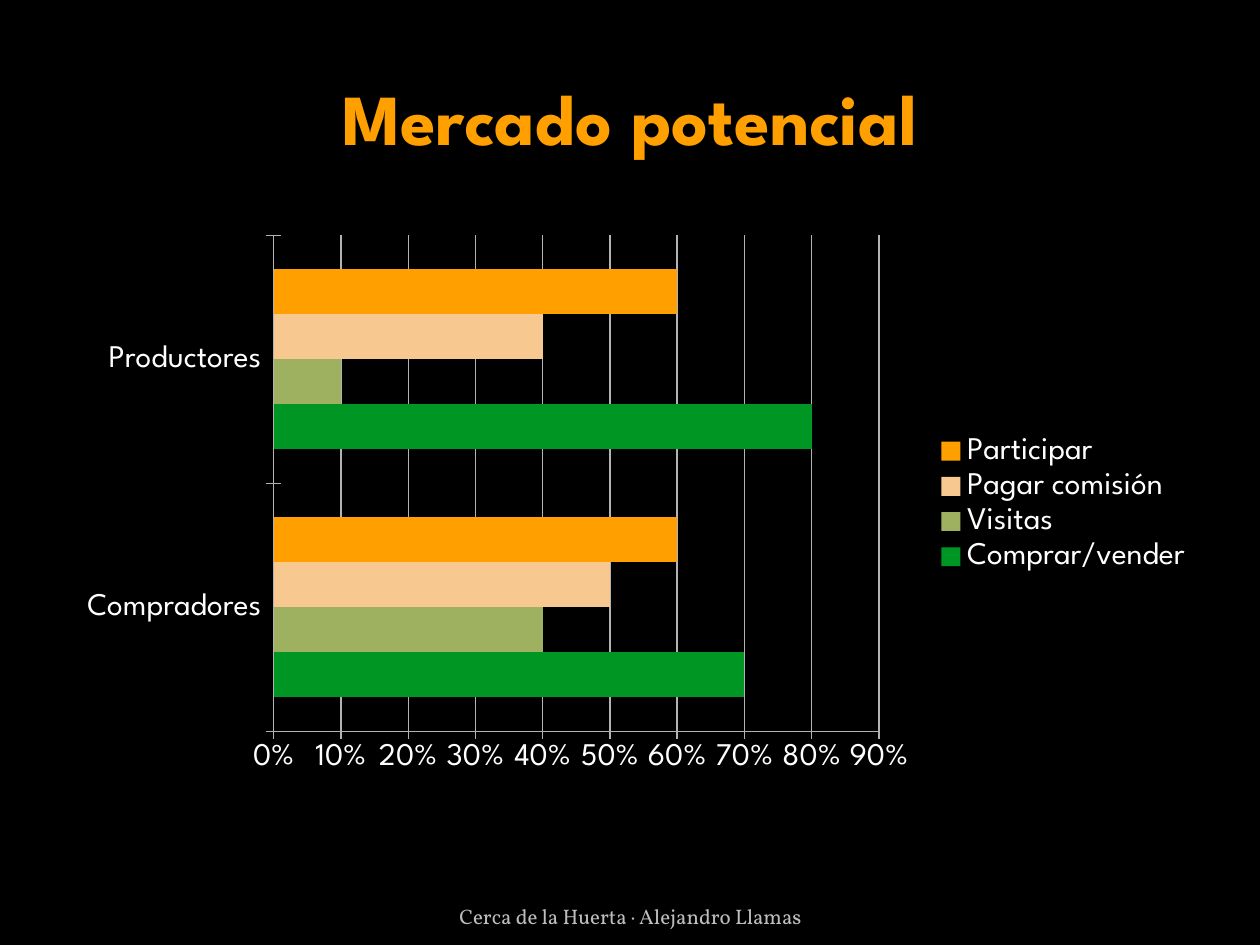
from pptx import Presentation
from pptx.chart.data import CategoryChartData
from pptx.dml.color import RGBColor
from pptx.enum.chart import XL_CHART_TYPE, XL_LEGEND_POSITION, XL_TICK_MARK
from pptx.enum.text import MSO_ANCHOR, PP_ALIGN
from pptx.util import Cm, Pt

BAR_CLUSTERED = XL_CHART_TYPE.BAR_CLUSTERED
LEGEND_RIGHT = XL_LEGEND_POSITION.RIGHT
TICK_CROSS = XL_TICK_MARK.CROSS
CENTER = PP_ALIGN.CENTER
MIDDLE, BOTTOM = MSO_ANCHOR.MIDDLE, MSO_ANCHOR.BOTTOM

COLORS = {
    "background": "000000",
    "text": "FFFFFF",
    "footer": "BDBDBD",
    "axis": "B3B3B3",
    "orange": "FFA000",
    "peach": "F8C891",
    "olive": "9EB160",
    "green": "009624",
}
HEADING_FONT = "League Spartan"
FOOTER_FONT = "Vollkorn"

CATEGORIES = ["Compradores", "Productores"]
SERIES = [
    ("Comprar/vender", (0.7, 0.8), "green"),
    ("Visitas", (0.4, 0.1), "olive"),
    ("Pagar comisión", (0.5, 0.4), "peach"),
    ("Participar", (0.6, 0.6), "orange"),
]


def color(name):
    return RGBColor.from_string(COLORS[name])


def style_font(font, name, size, color_name, bold=False):
    font.name = name
    font.size = Pt(size)
    font.bold = bold
    font.color.rgb = color(color_name)


def write_centered(shape, text, anchor):
    """Put one centred paragraph in the shape and return it."""
    frame = shape.text_frame
    frame.word_wrap = True
    frame.vertical_anchor = anchor
    para = frame.paragraphs[0]
    para.text = text
    para.alignment = CENTER
    return para


def place_title(page, left, top, width, height):
    title = page.shapes.title
    title.left, title.top, title.width, title.height = left, top, width, height
    para = write_centered(title, "Mercado potencial", MIDDLE)
    style_font(para.font, HEADING_FONT, 41, "orange", bold=True)


def place_footer(page, left, top, width, height):
    box = page.shapes.add_textbox(left, top, width, height)
    para = write_centered(box, "Cerca de la Huerta · Alejandro Llamas", BOTTOM)
    style_font(para.font, FOOTER_FONT, 12, "footer")


def style_line(line):
    line.color.rgb = color("axis")
    line.width = Pt(0.75)


def place_market_chart(page, left, top, width, height):
    data = CategoryChartData(number_format="0%")
    data.categories = CATEGORIES
    for name, values, _ in SERIES:
        data.add_series(name, values)
    chart = page.shapes.add_chart(
        BAR_CLUSTERED, left, top, width, height, data).chart
    chart.has_title = False
    style_font(chart.font, HEADING_FONT, 18, "text")

    plot = chart.plots[0]
    plot.gap_width = 150
    plot.overlap = 0
    plot.vary_by_categories = False
    for series, (_, _, color_name) in zip(plot.series, SERIES):
        series.format.fill.solid()
        series.format.fill.fore_color.rgb = color(color_name)

    for axis in (chart.category_axis, chart.value_axis):
        axis.major_tick_mark = TICK_CROSS
        style_line(axis.format.line)
    chart.category_axis.has_major_gridlines = False

    values = chart.value_axis
    values.minimum_scale, values.maximum_scale = 0, 0.9
    values.major_unit = 0.1
    values.has_major_gridlines = True
    style_line(values.major_gridlines.format.line)
    values.tick_labels.number_format = "0%"
    values.tick_labels.number_format_is_linked = False

    chart.has_legend = True
    chart.legend.position = LEGEND_RIGHT
    chart.legend.include_in_layout = False


def main():
    deck = Presentation()
    deck.slide_width, deck.slide_height = Cm(25.4), Cm(19.05)
    page = deck.slides.add_slide(deck.slide_layouts.get_by_name("Title Only"))
    page.background.fill.solid()
    page.background.fill.fore_color.rgb = color("background")

    place_title(page, Cm(1.27), Cm(0.76), Cm(22.86), Cm(3.18))
    place_market_chart(page, Cm(1.3), Cm(4.52), Cm(23.01), Cm(11.28))
    place_footer(page, Cm(8.69), Cm(17.83), Cm(8.05), Cm(1.02))
    deck.save("out.pptx")


if __name__ == "__main__":
    main()
